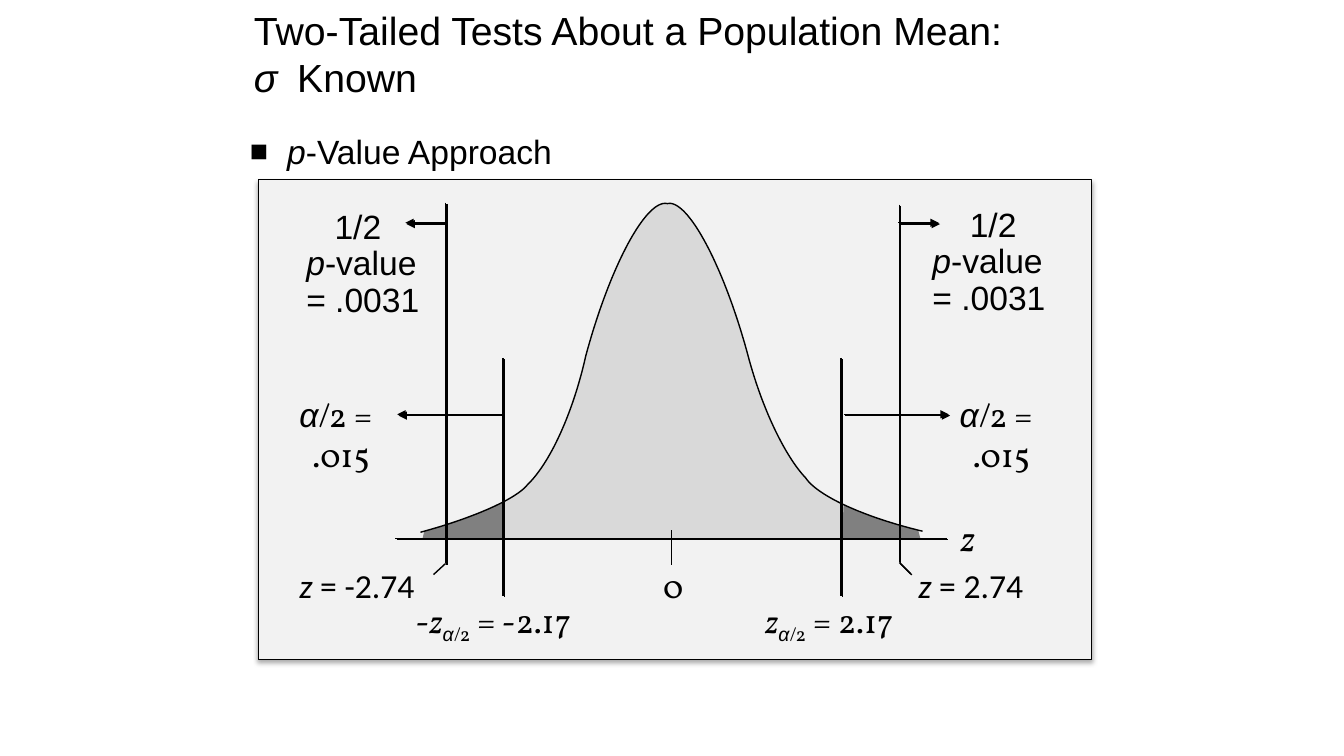
from lxml import etree
from pptx import Presentation
from pptx import util as u
from pptx.dml.color import RGBColor
from pptx.enum import shapes, text
from pptx.oxml import parse_xml
from pptx.oxml.ns import qn

A = "http://schemas.openxmlformats.org/drawingml/2006/main"
color = RGBColor.from_string
BLACK = "000000"
SANS, SERIF, LABEL = "Arial", "Vollkorn", "Calibri"


def style(sp, fill=None, line=None, width=1, shadow=None):
    """Set fill, outline and shadow (alpha %, blur pt, distance pt, angle)."""
    if fill:
        sp.fill.solid()
        sp.fill.fore_color.rgb = color(fill)
    if line:
        sp.line.color.rgb = color(line)
        sp.line.width = u.Pt(width)
    else:
        sp.line.fill.background()
    effects = etree.SubElement(sp._element.spPr, qn("a:effectLst"))
    if shadow:
        alpha, blur, dist, angle = shadow
        effects.append(parse_xml(
            f'<a:outerShdw xmlns:a="{A}" blurRad="{u.Pt(blur)}" dist="{u.Pt(dist)}" '
            f'dir="{angle * 60000}" algn="tl" rotWithShape="0"><a:srgbClr val="{BLACK}">'
            f'<a:alpha val="{alpha * 1000}"/></a:srgbClr></a:outerShdw>'))


def add_text(box, paragraphs, size=24, spacing=None, wrap=False):
    """Paragraphs are (indent, runs); runs are (text, font, flags): i italic, s subscript."""
    tf = s.shapes.add_textbox(*map(u.Inches, box)).text_frame
    tf.word_wrap = wrap
    for n, (indent, runs) in enumerate(paragraphs):
        p = tf.paragraphs[0] if n == 0 else tf.add_paragraph()
        if indent:
            p._p.get_or_add_pPr().set("marL", str(u.Inches(indent)))
        if spacing:
            p.line_spacing = spacing
        for words, font, flags in runs:
            r = p.add_run()
            r.text = words
            r.font.name = font
            r.font.size = u.Pt(size)
            r.font.italic = "i" in flags
            r.font.color.rgb = color(BLACK)
            if "s" in flags:
                r._r.get_or_add_rPr().set("baseline", "-25000")
    return tf


prs = Presentation()
prs.slide_width, prs.slide_height = u.Inches(13.33), u.Inches(7.5)
s = prs.slides.add_slide(prs.slide_layouts[6])

# Panel
panel = s.shapes.add_shape(shapes.MSO_SHAPE.RECTANGLE,
                           *map(u.Inches, (2.56, 1.78, 8.27, 4.76)))
style(panel, "F2F2F2", BLACK, 0.5, (32, 3.5, 2.2, 90))

# Bell curve: points along six joined Bezier segments
knots = [(4.17, 5.28), (4.69, 5.14), (5.12, 4.95), (5.23, 4.81),
         (5.45, 4.6), (5.68, 4.11), (5.81, 3.53),
         (6.05, 2.64), (6.41, 1.97), (6.62, 2.02),
         (6.82, 1.97), (7.18, 2.64), (7.42, 3.53),
         (7.56, 4.06), (7.79, 4.53), (7.99, 4.74),
         (8.11, 4.92), (8.57, 5.13), (9.15, 5.27)]
STEPS = 40
curve = [knots[0]]
for k in range(0, len(knots) - 1, 3):
    for step in range(1, STEPS + 1):
        t = step / STEPS
        weights = ((1 - t) ** 3, 3 * t * (1 - t) ** 2, 3 * t * t * (1 - t), t ** 3)
        curve.append(tuple(sum(w * knot[axis] for w, knot in zip(weights, knots[k:k + 4]))
                           for axis in (0, 1)))

# Area under the curve, both tails, then the outline
BASE = 5.35
for left, right, fill in ((4.19, 9.13, "D9D9D9"), (4.19, 4.99, "808080"),
                          (8.35, 9.13, "808080"), (4.17, 9.15, None)):
    points = [pt for pt in curve if left <= pt[0] <= right]
    if fill:
        points = [(left, BASE), *points, (right, BASE)]
    points = [(u.Inches(x), u.Inches(y)) for x, y in points]
    builder = s.shapes.build_freeform(*points[0], scale=1.0)
    builder.add_line_segments(points[1:], close=bool(fill))
    sp = builder.convert_to_shape()
    if fill:
        style(sp, fill)
    else:
        sp.fill.background()
        style(sp, line=BLACK)

# Axis, cut-off lines, label ticks and arrows: from, to, arrow, shadow
HARD = (100, 0, 1.4, 45)
for x1, y1, x2, y2, arrow, shadow in (
        (3.92, 5.34, 9.39, 5.34, False, HARD),
        (6.66, 5.26, 6.66, 5.61, False, None),
        (4.99, 3.55, 4.99, 5.91, False, HARD),
        (8.34, 3.55, 8.34, 5.91, False, HARD),
        (4.42, 2.01, 4.42, 5.59, False, HARD),
        (4.42, 5.59, 4.3, 5.7, False, None),
        (8.92, 2.03, 8.92, 5.58, False, HARD),
        (8.92, 5.58, 9.03, 5.69, False, HARD),
        (4.99, 4.11, 3.94, 4.11, True, HARD),
        (8.37, 4.11, 9.41, 4.11, True, HARD),
        (4.41, 2.21, 4.02, 2.21, True, HARD),
        (8.91, 2.21, 9.31, 2.21, True, HARD)):
    line = s.shapes.add_connector(shapes.MSO_CONNECTOR.STRAIGHT,
                                  *map(u.Inches, (x1, y1, x2, y2)))
    style(line, line=BLACK, shadow=shadow)
    if arrow:
        etree.SubElement(line.line._get_or_add_ln(), qn("a:tailEnd"), type="triangle")

# Tail area and p-value labels on both sides
for x in (2.87, 9.42):
    add_text((x, 3.86, 1.07, 0.91),
             [(0, [("α", SANS, "i"), ("/2 =", SERIF, "")]),
              (0.13, [(".015", SERIF, "")])])
for x, y, indent in ((2.94, 2.04, 0.28), (9.15, 2.02, 0.37)):
    add_text((x, y, 1.33, 1.19),
             [(indent, [("1/2", SANS, "")]),
              (0, [("p", SANS, "i"), ("-value", SANS, "")]),
              (0, [("= .0031", SANS, "")])], spacing=0.9)

# Labels under the axis
z_half = [("z", SERIF, "i"), ("α", SANS, "is"), ("/2", SERIF, "s")]
add_text((4.02, 5.9, 1.92, 0.5),
         [(0, [("-", SERIF, ""), *z_half, (" = -2.17", SERIF, "")])])
add_text((7.49, 5.9, 1.7, 0.5), [(0, [*z_half, (" = 2.17", SERIF, "")])])
add_text((2.87, 5.56, 1.35, 0.5), [(0, [("z", LABEL, "i"), (" = -2.74", LABEL, "")])])
add_text((9.01, 5.56, 1.25, 0.5), [(0, [("z", LABEL, "i"), (" = 2.74", LABEL, "")])])
add_text((6.48, 5.56, 0.37, 0.5), [(0, [("0", SERIF, "")])])
add_text((9.43, 5.06, 0.36, 0.54), [(0, [("z", SERIF, "i")])], size=26)

# Bulleted heading
tf = add_text((2.38, 1.25, 3.3, 0.5),
              [(0.37, [("p", SANS, "i"), ("-Value Approach", SANS, "")])])
pPr = tf.paragraphs[0]._p.get_or_add_pPr()
pPr.set("indent", str(-u.Inches(0.37)))
etree.SubElement(pPr, qn("a:buSzPct"), val="90000")
etree.SubElement(pPr, qn("a:buFont"), typeface=SANS)
etree.SubElement(pPr, qn("a:buChar"), char="■")

# Title
tf = add_text((2.42, 0.08, 8.5, 0.89),
              [(0, [("Two-Tailed Tests About a Population Mean:", SANS, "")]),
               (0, [("σ", SANS, "i"), ("\tKnown", SANS, "")])], size=28, wrap=True)
tf.vertical_anchor = text.MSO_ANCHOR.MIDDLE
tabs = etree.SubElement(tf.paragraphs[1]._p.get_or_add_pPr(), qn("a:tabLst"))
etree.SubElement(tabs, qn("a:tab"), pos=str(u.Inches(0.43)), algn="l")

prs.save("out.pptx")
